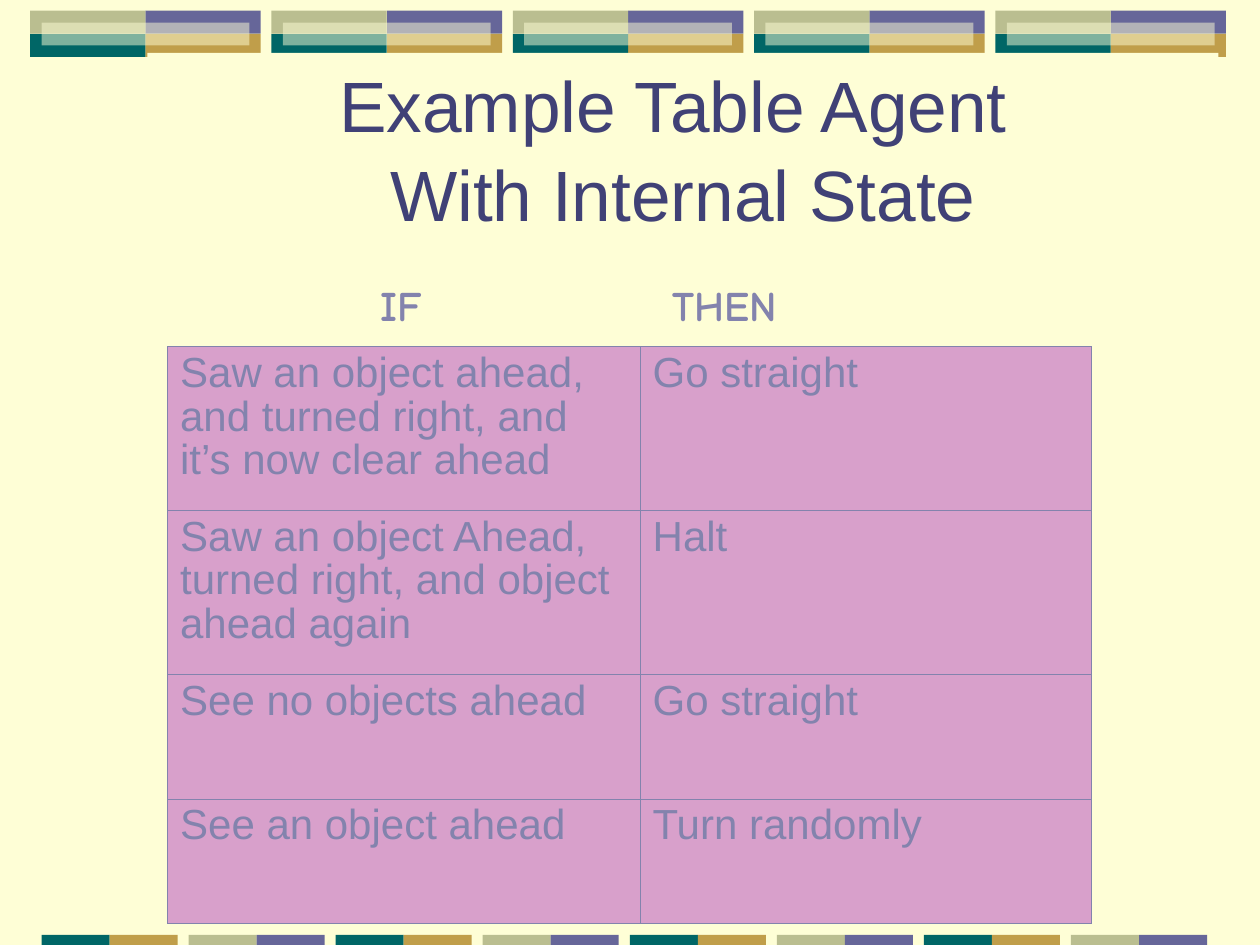
from dataclasses import dataclass

from lxml import etree
from pptx import Presentation
from pptx import util as u
from pptx.dml.color import RGBColor
from pptx.enum import shapes, text
from pptx.oxml import ns


@dataclass(frozen=True)
class Theme:
    cream: str = "FEFED6"
    violet: str = "666699"
    gold: str = "C09E4A"
    teal: str = "006666"
    olive: str = "BABE90"
    title: str = "404176"
    ink: str = "8383AD"
    cell: str = "D8A0CB"
    body_font: str = "Arial"
    label_font: str = "Comic Neue"
    title_size: float = 40.7
    body_size: float = 24


theme = Theme()


def write_text(frame, words, *, size=theme.body_size, color=theme.ink, font=theme.body_font,
               bold=False, align=text.PP_ALIGN.LEFT, spacing=1.0):
    frame.text = words
    paragraph = frame.paragraphs[0]
    paragraph.alignment = align
    paragraph.line_spacing = spacing
    for run in paragraph.runs:
        run.font.size = u.Pt(size)
        run.font.name = font
        run.font.bold = bold
        run.font.color.rgb = RGBColor.from_string(color)


def add_block(left, top, width, height, color):
    """Add a plain rectangle without outline or shadow."""
    block = slide.shapes.add_shape(shapes.MSO_SHAPE.RECTANGLE, u.Inches(left), u.Inches(top),
                                   u.Inches(width), u.Inches(height))
    block.shadow.inherit = False
    block.line.fill.background()
    block.fill.solid()
    block.fill.fore_color.rgb = RGBColor.from_string(color)
    return block


presentation = Presentation()
presentation.slide_width = u.Inches(10)
presentation.slide_height = u.Inches(7.5)
slide = presentation.slides.add_slide(presentation.slide_layouts[5])
slide.background.fill.solid()
slide.background.fill.fore_color.rgb = RGBColor.from_string(theme.cream)

# Top band: five four-colour tiles, each with a translucent bar
for tile in range(5):
    left = 0.24 + tile * 7.66 / 4
    for column, row, color in [(1, 0, theme.violet), (1, 1, theme.gold),
                               (0, 1, theme.teal), (0, 0, theme.olive)]:
        add_block(left + column * 0.915, 0.085 + row * 0.183, 0.915, 0.183, color)
    bar = add_block(left + 0.09, 0.18, 1.65, 0.18, theme.cream)
    bar_color = bar.element.spPr.find(".//" + ns.qn("a:srgbClr"))
    etree.SubElement(bar_color, ns.qn("a:alpha"), val="50000")

# Bottom band: two alternating colour pairs
color_pairs = [(theme.teal, theme.gold), (theme.olive, theme.violet)]
for pair in range(8):
    for half, color in enumerate(color_pairs[pair % 2]):
        add_block(0.33 + pair * 8.17 / 7 + half * 0.54, 7.42, 0.54, 0.08, color)

# The title covers the lower edge of the top band, so it goes in front of it
title = slide.shapes.title
title.element.getparent().append(title.element)
title.left, title.top = u.Inches(1.17), u.Inches(0.42)
title.width, title.height = u.Inches(8.5), u.Inches(1.5)
title.fill.solid()
title.fill.fore_color.rgb = RGBColor.from_string(theme.cream)
title.text_frame.auto_size = text.MSO_AUTO_SIZE.NONE
title.text_frame.vertical_anchor = text.MSO_ANCHOR.BOTTOM
write_text(title.text_frame, "Example Table Agent \vWith Internal State", size=theme.title_size,
           color=theme.title, align=text.PP_ALIGN.CENTER, spacing=1.04)

rules = [
    ("Saw an object ahead, and turned right, and it’s now clear ahead", "Go straight"),
    ("Saw an object Ahead, turned right, and object ahead again", "Halt"),
    ("See no objects ahead", "Go straight"),
    ("See an object ahead", "Turn randomly"),
]
column_widths = [3.75, 3.58]
row_heights = [1.3, 1.3, 0.99, 0.99]
table = slide.shapes.add_table(len(rules), 2, u.Inches(1.33), u.Inches(2.75),
                               u.Inches(sum(column_widths)), u.Inches(sum(row_heights))).table
table.first_row = table.horz_banding = False
for column, width in zip(table.columns, column_widths):
    column.width = u.Inches(width)
for row, height in zip(table.rows, row_heights):
    row.height = u.Inches(height)

for row_index, rule in enumerate(rules):
    for column_index, words in enumerate(rule):
        cell = table.cell(row_index, column_index)
        write_text(cell.text_frame, words, spacing=0.93)
        outer_edges = {"lnL": column_index == 0, "lnR": column_index == 1,
                       "lnT": row_index == 0, "lnB": row_index == len(rules) - 1}
        properties = cell._tc.get_or_add_tcPr()
        for edge, is_outer in outer_edges.items():
            border = etree.SubElement(properties, ns.qn("a:" + edge),
                                      w=str(u.Pt(0.5 if is_outer else 0.23)))
            border_fill = etree.SubElement(border, ns.qn("a:solidFill"))
            etree.SubElement(border_fill, ns.qn("a:srgbClr"), val=theme.ink)
        cell.fill.solid()
        cell.fill.fore_color.rgb = RGBColor.from_string(theme.cell)

for words, left, width, wraps in [("IF", 2.92, 0.6, True), ("THEN", 5.24, 1.03, False)]:
    label = slide.shapes.add_textbox(u.Inches(left), u.Inches(2.17), u.Inches(width), u.Inches(0.5))
    label.text_frame.word_wrap = wraps
    label.text_frame.auto_size = text.MSO_AUTO_SIZE.SHAPE_TO_FIT_TEXT
    write_text(label.text_frame, words, font=theme.label_font, bold=True)

presentation.save("out.pptx")
